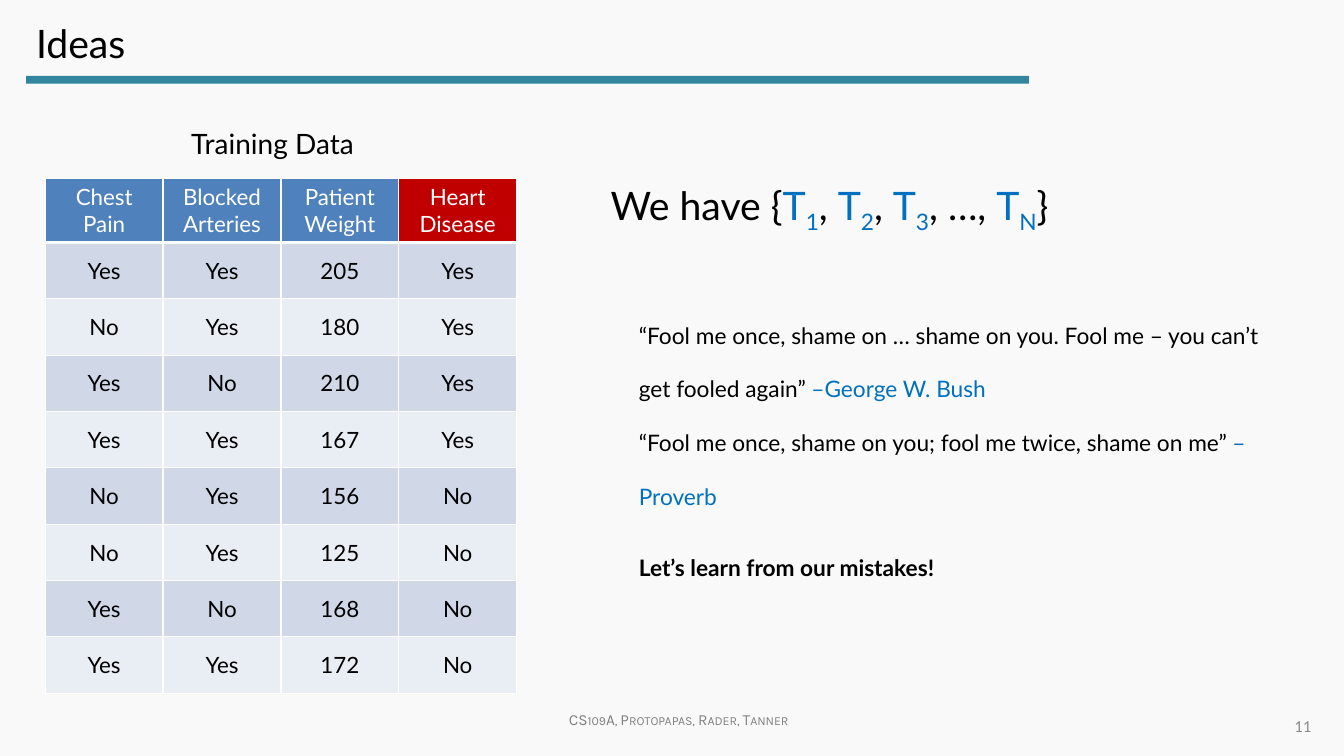
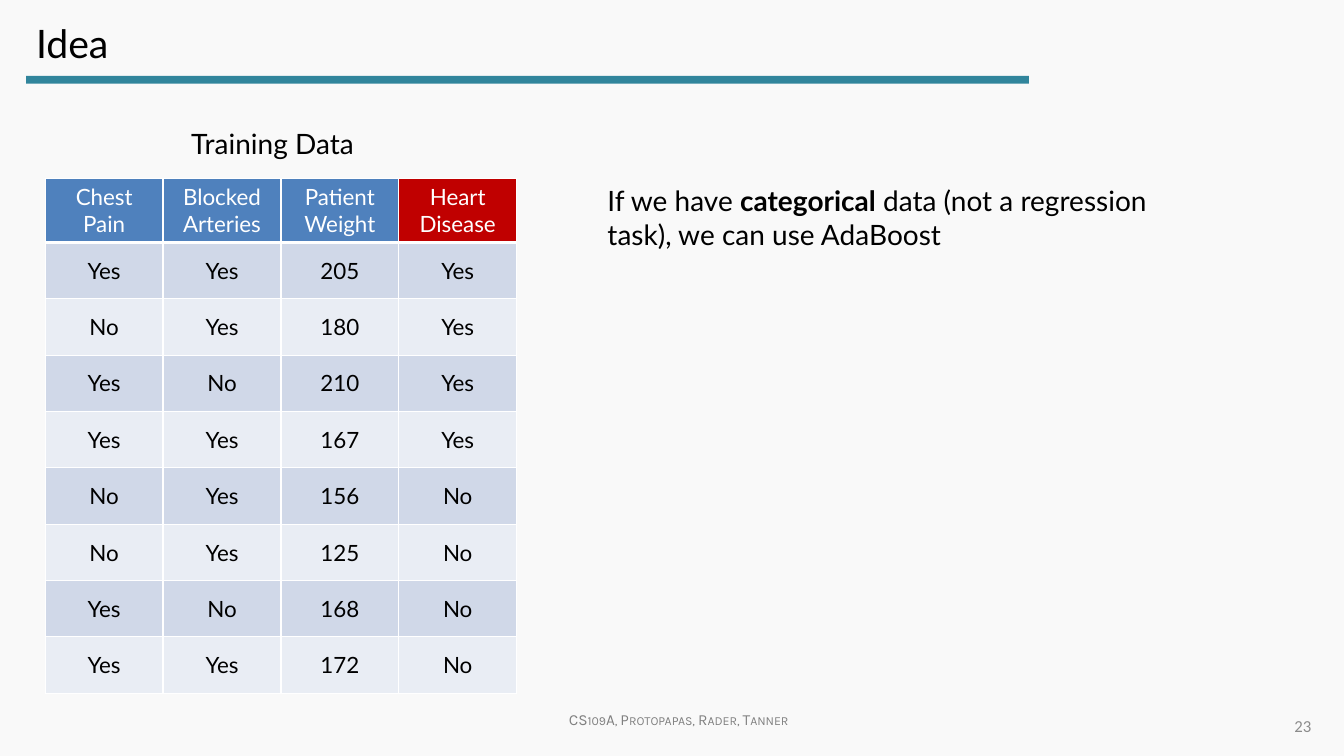
from dataclasses import dataclass

from lxml import etree
from pptx import Presentation
from pptx.dml.color import RGBColor
from pptx.enum.shapes import MSO_SHAPE
from pptx.enum.text import MSO_ANCHOR, MSO_AUTO_SIZE, PP_ALIGN
from pptx.oxml.ns import qn
from pptx.slide import Slide
from pptx.table import _Cell
from pptx.text.text import TextFrame
from pptx.util import Cm, Pt

RECT = MSO_SHAPE.RECTANGLE
LEFT, CENTER, RIGHT = PP_ALIGN.LEFT, PP_ALIGN.CENTER, PP_ALIGN.RIGHT
TOP, MIDDLE = MSO_ANCHOR.TOP, MSO_ANCHOR.MIDDLE
GROW, FIXED = MSO_AUTO_SIZE.SHAPE_TO_FIT_TEXT, MSO_AUTO_SIZE.NONE


@dataclass(frozen=True)
class Theme:
    background: str = "F9F9F9"
    bar: str = "31859C"
    ink: str = "000000"
    accent: str = "0070C0"
    footer: str = "808080"
    number: str = "8C8C8C"
    white: str = "FFFFFF"
    header: str = "4F81BD"
    target: str = "C00000"
    bands: tuple[str, str] = ("D0D8E8", "E9EDF4")
    font: str = "Lato"
    footer_font: str = "Karla"
    number_font: str = "Calibri"
    title_size: int = 28
    body_size: int = 20
    cell_size: int = 16
    number_size: int = 12
    footer_size: int = 11


THEME = Theme()


@dataclass(frozen=True)
class Run:
    text: str
    color: str = THEME.ink
    bold: bool = False
    sub: bool = False


@dataclass(frozen=True)
class Box:
    left: float
    top: float
    width: float
    height: float

    def cm(self) -> tuple[Cm, Cm, Cm, Cm]:
        return Cm(self.left), Cm(self.top), Cm(self.width), Cm(self.height)


@dataclass(frozen=True)
class Block:
    box: Box
    runs: tuple[Run, ...]
    size: int = THEME.title_size


@dataclass(frozen=True)
class Page:
    title: str
    number: str
    blocks: tuple[Block, ...]


HEADERS = ("Chest Pain", "Blocked Arteries", "Patient Weight", "Heart Disease")
PATIENTS = (
    ("Yes", "Yes", "205", "Yes"),
    ("No", "Yes", "180", "Yes"),
    ("Yes", "No", "210", "Yes"),
    ("Yes", "Yes", "167", "Yes"),
    ("No", "Yes", "156", "No"),
    ("No", "Yes", "125", "No"),
    ("Yes", "No", "168", "No"),
    ("Yes", "Yes", "172", "No"),
)
COL_WIDTH, HEADER_HEIGHT, ROW_HEIGHT = 2.97, 1.55, 1.42
THIN, THICK = 1, 3

TITLE_BOX = Box(0.66, 0.36, 13.41, 1.45)
BAR_BOX = Box(0.66, 1.91, 25.27, 0.2)
CAPTION_BOX = Box(4.57, 3.07, 5.87, 1.12)
TABLE_BOX = Box(1.14, 4.5, COL_WIDTH * len(HEADERS),
                HEADER_HEIGHT + ROW_HEIGHT * len(PATIENTS))
FOOTER_BOX = Box(14.07, 17.78, 6.07, 0.74)
NUMBER_BOX = Box(25.4, 17.78, 7.9, 1.02)


def tree_set() -> tuple[Run, ...]:
    runs = [Run("We have {")]
    for index, gap in (("1", ", "), ("2", ", "), ("3", ", …, "), ("N", "}")):
        runs += [Run("T", THEME.accent), Run(index, THEME.accent, sub=True), Run(gap)]
    return tuple(runs)


def quote(top: float, words: str, source: str) -> Block:
    return Block(Box(15.85, top, 16.33, 1.85),
                 (Run(words + " ", sub=True), Run(source, THEME.accent, sub=True)))


PAGES = (
    Page("Ideas", "11", (
        Block(Box(15.14, 4.45, 13.41, 1.45), tree_set()),
        quote(7.32, "“Fool me once, shame on … shame on you. Fool me – you can’t get fooled again”",
              "–George W. Bush"),
        quote(10.03, "“Fool me once, shame on you; fool me twice, shame on me”", "–Proverb"),
        Block(Box(15.85, 13.18, 16.33, 1.07),
              (Run("Let’s learn from our mistakes!", bold=True, sub=True),)),
    )),
    Page("Idea", "23", (
        Block(Box(15.06, 4.5, 15.6, 1.96),
              (Run("If we have "), Run("categorical", bold=True),
               Run(" data (not a regression task), we can use AdaBoost")),
              THEME.body_size),
    )),
)


def rgb(color: str) -> RGBColor:
    return RGBColor.from_string(color)


def write(tf: TextFrame, *runs: Run, size: int, font: str = THEME.font,
          align: PP_ALIGN = LEFT, small_caps: bool = False) -> None:
    p = tf.paragraphs[0]
    p.alignment = align
    for run in runs:
        r = p.add_run()
        r.text = run.text
        r.font.name = font
        r.font.size = Pt(size)
        r.font.bold = run.bold
        r.font.color.rgb = rgb(run.color)
        props = r._r.get_or_add_rPr()
        if run.sub:
            props.set("baseline", "-25000")
        if small_caps:
            props.set("cap", "small")


def add_frame(s: Slide, box: Box, wrap: bool = True,
              auto_size: MSO_AUTO_SIZE = GROW, anchor: MSO_ANCHOR = TOP) -> TextFrame:
    tf = s.shapes.add_textbox(*box.cm()).text_frame
    tf.word_wrap = wrap
    tf.auto_size = auto_size
    tf.vertical_anchor = anchor
    return tf


def set_borders(cell: _Cell, top: int, bottom: int) -> None:
    props = cell._tc.get_or_add_tcPr()
    sides = (("a:lnL", THIN), ("a:lnR", THIN), ("a:lnT", top), ("a:lnB", bottom))
    for position, (tag, width) in enumerate(sides):
        line = etree.Element(qn(tag), w=str(Pt(width)))
        fill = etree.SubElement(line, qn("a:solidFill"))
        etree.SubElement(fill, qn("a:srgbClr"), val=THEME.white)
        props.insert(position, line)


def add_patients(s: Slide) -> None:
    rows = (HEADERS, *PATIENTS)
    table = s.shapes.add_table(len(rows), len(HEADERS), *TABLE_BOX.cm()).table
    for column in table.columns:
        column.width = Cm(COL_WIDTH)
    for i, values in enumerate(rows):
        is_header = i == 0
        table.rows[i].height = Cm(HEADER_HEIGHT if is_header else ROW_HEIGHT)
        for j, value in enumerate(values):
            cell = table.cell(i, j)
            if is_header:
                color = THEME.target if j == len(HEADERS) - 1 else THEME.header
            else:
                color = THEME.bands[(i - 1) % 2]
            cell.fill.solid()
            cell.fill.fore_color.rgb = rgb(color)
            cell.vertical_anchor = TOP if is_header else MIDDLE
            set_borders(cell, THICK if i == 1 else THIN, THICK if is_header else THIN)
            ink = THEME.white if is_header else THEME.ink
            write(cell.text_frame, Run(value, ink), size=THEME.cell_size, align=CENTER)


def add_frame_parts(s: Slide, page: Page) -> None:
    write(add_frame(s, FOOTER_BOX, wrap=False),
          Run("CS109A, Protopapas, Rader, Tanner", THEME.footer),
          size=THEME.footer_size, font=THEME.footer_font, align=CENTER, small_caps=True)
    write(add_frame(s, NUMBER_BOX, auto_size=FIXED, anchor=MIDDLE),
          Run(page.number, THEME.number),
          size=THEME.number_size, font=THEME.number_font, align=RIGHT)
    sp = s.shapes.add_shape(RECT, *BAR_BOX.cm())
    sp.shadow.inherit = False
    sp.fill.solid()
    sp.fill.fore_color.rgb = rgb(THEME.bar)
    sp.line.fill.background()
    write(add_frame(s, TITLE_BOX), Run(page.title), size=THEME.title_size)


def main() -> None:
    prs = Presentation()
    prs.slide_width, prs.slide_height = Cm(33.87), Cm(19.05)
    background = prs.slide_master.background.fill
    background.solid()
    background.fore_color.rgb = rgb(THEME.background)
    for page in PAGES:
        s = prs.slides.add_slide(prs.slide_layouts[6])
        add_frame_parts(s, page)
        add_patients(s)
        write(add_frame(s, CAPTION_BOX), Run("Training Data"), size=THEME.body_size)
        for block in page.blocks:
            write(add_frame(s, block.box), *block.runs, size=block.size)
    prs.save("out.pptx")


if __name__ == "__main__":
    main()
